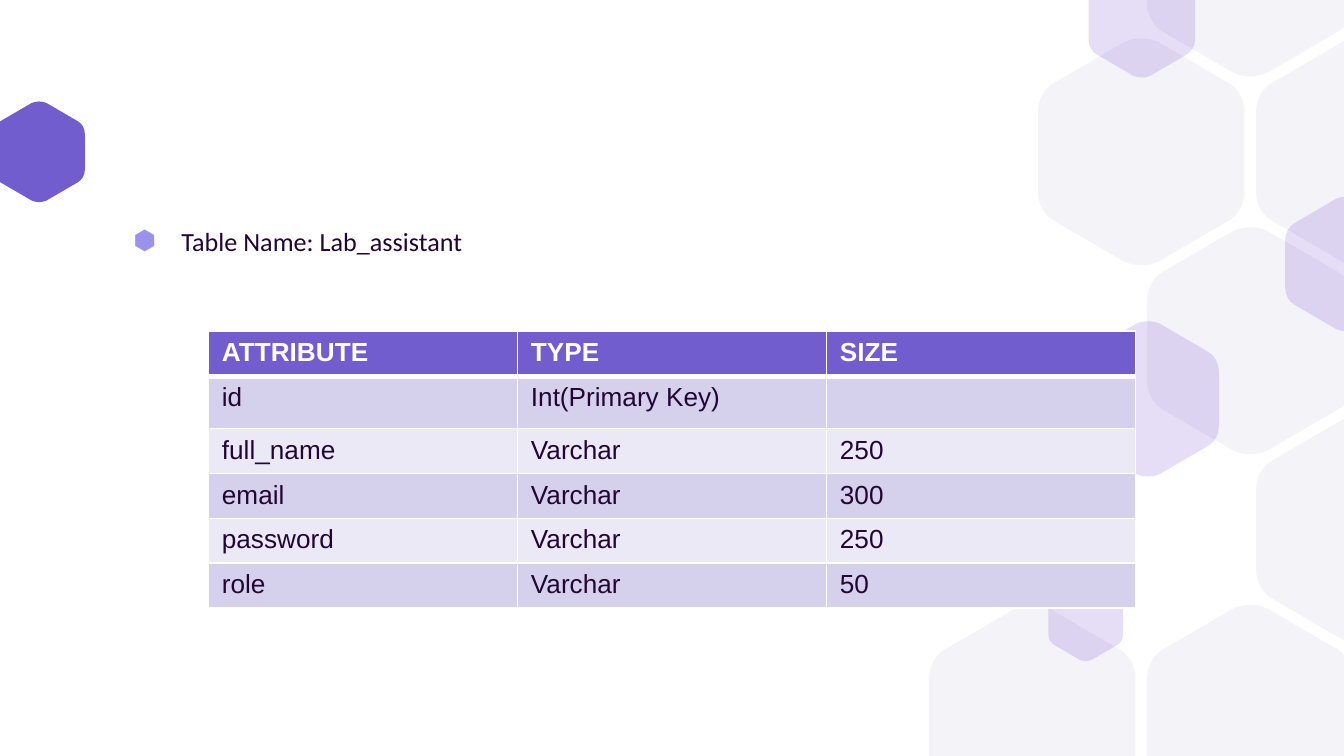
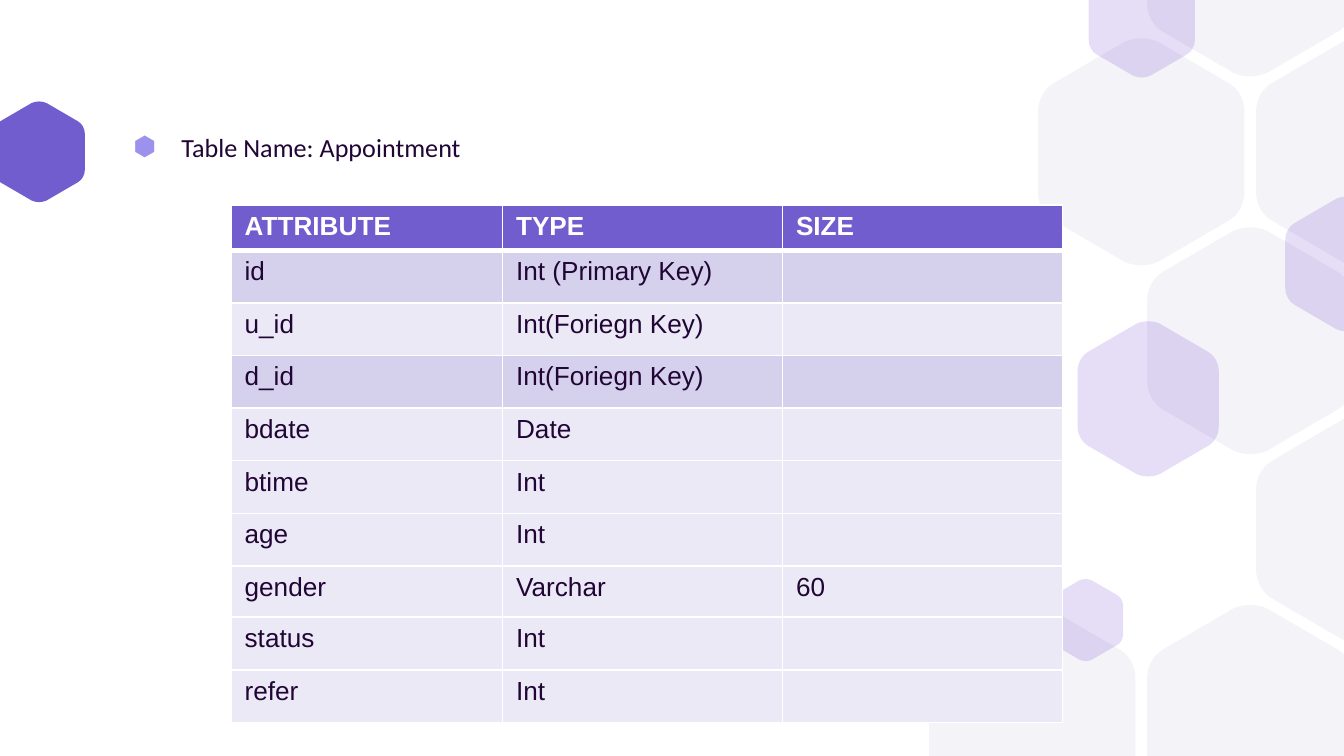
from dataclasses import dataclass

from lxml.etree import SubElement
from pptx import Presentation
from pptx.dml.color import RGBColor
from pptx.oxml.ns import qn
from pptx.shapes.autoshape import Shape
from pptx.slide import Slide
from pptx.table import _Cell
from pptx.text.text import TextFrame, _Paragraph
from pptx.util import Cm, Pt

COLOR = {
    "white": "FFFFFF",
    "ink": "210635",
    "head": "725DCF",
    "dark": "D5D1ED",
    "light": "EBE9F6",
    "pale": "F4F3F8",
    "tint": "5322C9",
    "mark": "9D91EE",
}
WIDE, HIGH = 25.4, 14.29
RATIO = 1.1
SIDE = ((1, 0.35), (1, 0.46), (0.94, 0.56), (0.84, 0.61))
TIP = ((0.16, 0.97), (0.05, 1.01), (-0.05, 1.01), (-0.16, 0.97))
HALF = SIDE + TIP + tuple((-x, y) for x, y in reversed(SIDE))
THIN, THICK = 0.96, 3

Point = tuple[float, float]


@dataclass(frozen=True)
class Hex:
    x: float
    y: float
    width: float
    hue: str
    alpha: int = 100


@dataclass(frozen=True)
class Sheet:
    title: str
    top: float
    height: float
    left: float
    start: float
    cols: tuple[float, ...]
    rows: tuple[float, ...]
    dark: tuple[int, ...]
    cells: tuple[tuple[str, str, str], ...]


GRID = ((4, -2), (4, 0), (1, 1), (0, 0), (2, 0), (1, -1), (3, 1))
HEXES = (
    [Hex(0.74, 2.87, 1.73, "head")]
    + [Hex(23.63 + 2.06 * col, 3.57 * row - 0.7, 3.9, "pale") for row, col in GRID]
    + [
        Hex(x, y, width, "tint", 15)
        for x, y, width in (
            (25.45, 4.99, 2.32),
            (20.52, 11.72, 1.41),
            (21.58, 0.36, 2.01),
            (21.7, 7.54, 2.67),
        )
    ]
)
HEAD = ("ATTRIBUTE", "TYPE", "SIZE")
SHEETS = (
    Sheet(
        "Table Name: Lab_assistant", 4.17, 1.27, 3.94, 6.26,
        (5.84,) * 3, (0.84,) * 6, (1, 3, 5),
        (
            HEAD,
            ("id", "Int(Primary Key)", ""),
            ("full_name", "Varchar", "250"),
            ("email", "Varchar", "300"),
            ("password", "Varchar", "250"),
            ("role", "Varchar", "50"),
        ),
    ),
    Sheet(
        "Table Name: Appointment", 2.39, 1.04, 4.37, 3.88,
        (5.13, 5.29, 5.29), (0.81,) * 4 + (0.97,) * 6, (1, 3),
        (
            HEAD,
            ("id", "Int (Primary Key)", ""),
            ("u_id", "Int(Foriegn Key)", ""),
            ("d_id", "Int(Foriegn Key)", ""),
            ("bdate", "Date", ""),
            ("btime", "Int", ""),
            ("age", "Int", ""),
            ("gender", "Varchar", "60"),
            ("status", "Int", ""),
            ("refer", "Int", ""),
        ),
    ),
)


def shade(name: str) -> RGBColor:
    return RGBColor.from_string(COLOR[name])


def outline(item: Hex) -> list[Point]:
    half = item.width / 2
    tall = half * RATIO
    lower = [(item.x + x * half, item.y + y * tall) for x, y in HALF]
    upper = [(item.x - x * half, item.y - y * tall) for x, y in HALF]
    left, right = item.x - half, item.x + half
    if item.y < tall:
        return lower + [(left, 0), (right, 0)]
    if item.y + tall > HIGH:
        return upper + [(right, HIGH), (left, HIGH)]
    return lower + upper


def bend(shape: Shape) -> None:
    lines = list(shape._element.iter(qn("a:lnTo")))
    for start in range(0, len(lines) - 2, 4):
        trio = lines[start:start + 3]
        curve = SubElement(trio[0].getparent(), qn("a:cubicBezTo"))
        trio[0].addprevious(curve)
        for line in trio:
            curve.append(line[0])
            line.getparent().remove(line)


def draw_hex(slide: Slide, item: Hex) -> None:
    points = [(Cm(x), Cm(y)) for x, y in outline(item)]
    pen = slide.shapes.build_freeform(*points[0])
    pen.add_line_segments(points[1:], close=True)
    shape = pen.convert_to_shape()
    bend(shape)
    shape.shadow.inherit = False
    shape.line.fill.background()
    shape.fill.solid()
    shape.fill.fore_color.rgb = shade(item.hue)
    if item.alpha < 100:
        tone = next(shape._element.spPr.iter(qn("a:srgbClr")))
        SubElement(tone, qn("a:alpha"), val=str(item.alpha * 1000))


def write(
    frame: TextFrame,
    text: str,
    *,
    face: str = "Arial",
    size: float = 14,
    hue: str = "ink",
    bold: bool = False,
) -> _Paragraph:
    para = frame.paragraphs[0]
    if not text:
        blank = SubElement(para._p, qn("a:endParaRPr"), sz=str(int(size * 100)))
        SubElement(blank, qn("a:latin"), typeface=face)
        return para
    run = para.add_run()
    run.text = text
    run.font.name = face
    run.font.size = Pt(size)
    run.font.bold = bold
    run.font.color.rgb = shade(hue)
    return para


def draw_title(slide: Slide, sheet: Sheet) -> None:
    box = slide.shapes.add_textbox(Cm(2.16), Cm(sheet.top), Cm(16.69), Cm(sheet.height))
    frame = box.text_frame
    frame.word_wrap = True
    frame.margin_left = frame.margin_right = frame.margin_top = frame.margin_bottom = 0
    para = write(frame, sheet.title, face="Calibri")
    para.line_spacing = 1.15
    props = para._p.get_or_add_pPr()
    props.set("marL", str(Cm(1.27)))
    props.set("indent", str(Cm(-0.91)))
    tone = SubElement(props, qn("a:buClr"))
    SubElement(tone, qn("a:srgbClr"), val=COLOR["mark"])
    SubElement(props, qn("a:buFont"), typeface="Arial")
    SubElement(props, qn("a:buChar"), char="⬢")


def edge(cell: _Cell, row: int) -> None:
    props = cell._tc.get_or_add_tcPr()
    for side in "LRTB":
        thick = (row, side) in ((0, "B"), (1, "T"))
        line = SubElement(props, qn(f"a:ln{side}"), w=str(Pt(THICK if thick else THIN)))
        fill = SubElement(line, qn("a:solidFill"))
        SubElement(fill, qn("a:srgbClr"), val=COLOR["white"])


def draw_table(slide: Slide, sheet: Sheet) -> None:
    grid = slide.shapes.add_table(
        len(sheet.rows), len(sheet.cols), Cm(sheet.left), Cm(sheet.start),
        Cm(sum(sheet.cols)), Cm(sum(sheet.rows)),
    ).table
    grid.horz_banding = False
    for col, width in zip(grid.columns, sheet.cols):
        col.width = Cm(width)
    for r, (height, texts) in enumerate(zip(sheet.rows, sheet.cells)):
        grid.rows[r].height = Cm(height)
        top = r == 0
        fill = "head" if top else "dark" if r in sheet.dark else "light"
        for c, text in enumerate(texts):
            cell = grid.cell(r, c)
            edge(cell, r)
            cell.fill.solid()
            cell.fill.fore_color.rgb = shade(fill)
            write(
                cell.text_frame, text, size=14 if text else 17.5,
                hue="white" if top else "ink", bold=top,
            )


def main() -> None:
    deck = Presentation()
    deck.slide_width, deck.slide_height = Cm(WIDE), Cm(HIGH)
    for sheet in SHEETS:
        slide = deck.slides.add_slide(deck.slide_layouts[6])
        for item in HEXES:
            draw_hex(slide, item)
        draw_title(slide, sheet)
        draw_table(slide, sheet)
    deck.save("out.pptx")


if __name__ == "__main__":
    main()
